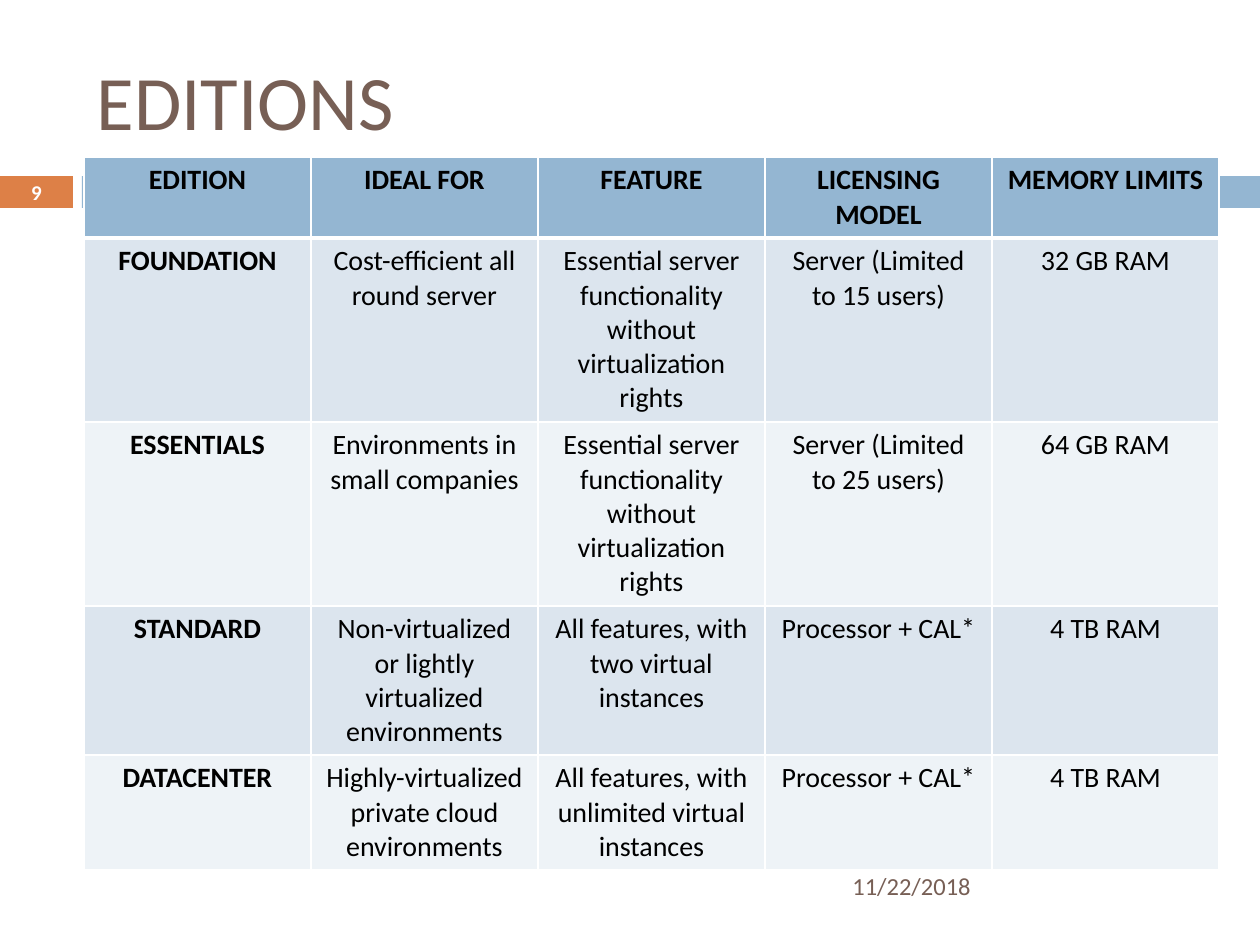
from lxml import etree
from pptx import Presentation
from pptx.dml.color import RGBColor
from pptx.enum.shapes import MSO_SHAPE as Shape
from pptx.enum.text import MSO_ANCHOR as Anchor, MSO_AUTO_SIZE as AutoSize, PP_ALIGN as Align
from pptx.oxml.ns import qn
from pptx.util import Emu, Pt

PX_PER_INCH = 126
FONT = "Calibri"
ORANGE, BLUE, BROWN = "DD8047", "94B6D2", "775F55"
WHITE, BLACK = "FFFFFF", "000000"
BANDS = ["DCE5EE", "EEF3F7"]
COLUMN_WIDTH = 227
ROW_HEIGHTS = [81, 184, 184, 149, 115]
SERVER_FEATURE = "Essential server functionality without virtualization rights"
EDITIONS = [
    ["EDITION", "IDEAL FOR", "FEATURE", "LICENSING MODEL", "MEMORY LIMITS"],
    ["FOUNDATION", "Cost-efficient all round server", SERVER_FEATURE,
     "Server (Limited to 15 users)", "32 GB RAM"],
    ["ESSENTIALS", "Environments in small companies", SERVER_FEATURE,
     "Server (Limited to 25 users)", "64 GB RAM"],
    ["STANDARD", "Non-virtualized or lightly virtualized environments",
     "All features, with two virtual instances", "Processor + CAL*", "4 TB RAM"],
    ["DATACENTER", "Highly-virtualized private cloud environments",
     "All features, with unlimited virtual instances", "Processor + CAL*", "4 TB RAM"],
]


def px(length):
    return Emu(round(length * 914400 / PX_PER_INCH))


def color(value):
    return RGBColor.from_string(value)


def write(text_frame, text, size, text_color, align=Align.LEFT, bold=False):
    text_frame.text = text
    paragraph = text_frame.paragraphs[0]
    paragraph.alignment = align
    font = paragraph.runs[0].font
    font.name, font.size, font.bold = FONT, Pt(size), bold
    font.color.rgb = color(text_color)


def set_title(slide, text, left, top, width, height):
    title = slide.shapes.title
    title.left, title.top = px(left), px(top)
    title.width, title.height = px(width), px(height)
    write(title.text_frame, text, 44, BROWN)
    title.text_frame.vertical_anchor = Anchor.MIDDLE
    title.text_frame.auto_size = AutoSize.NONE


def add_bar(slide, left, top, width, height, fill):
    bar = slide.shapes.add_shape(Shape.RECTANGLE, px(left), px(top), px(width), px(height))
    bar.shadow.inherit = False
    bar.fill.solid()
    bar.fill.fore_color.rgb = color(fill)
    bar.line.fill.background()


def add_label(slide, text, left, top, width, height, size, text_color, **style):
    box = slide.shapes.add_textbox(px(left), px(top), px(width), px(height))
    box.text_frame.word_wrap = True
    box.text_frame.vertical_anchor = Anchor.MIDDLE
    write(box.text_frame, text, size, text_color, **style)


def set_borders(cell, bottom_width):
    properties = cell._tc.get_or_add_tcPr()
    for side, width in [("L", 1), ("R", 1), ("T", 1), ("B", bottom_width)]:
        line = etree.SubElement(properties, qn(f"a:ln{side}"), w=str(Pt(width)))
        fill = etree.SubElement(line, qn("a:solidFill"))
        etree.SubElement(fill, qn("a:srgbClr"), val=WHITE)


def add_editions_table(slide, left, top):
    columns = len(EDITIONS[0])
    table = slide.shapes.add_table(
        len(EDITIONS), columns, px(left), px(top),
        px(COLUMN_WIDTH * columns), px(sum(ROW_HEIGHTS))).table
    for column in table.columns:
        column.width = px(COLUMN_WIDTH)
    for row_index, texts in enumerate(EDITIONS):
        is_header = row_index == 0
        table.rows[row_index].height = px(ROW_HEIGHTS[row_index])
        for column_index, text in enumerate(texts):
            cell = table.cell(row_index, column_index)
            set_borders(cell, 3 if is_header else 1)
            cell.fill.solid()
            cell.fill.fore_color.rgb = color(BLUE if is_header else BANDS[(row_index - 1) % 2])
            write(cell.text_frame, text, 16, BLACK, Align.CENTER,
                  is_header or column_index == 0)


def main():
    presentation = Presentation()
    presentation.slide_width, presentation.slide_height = px(1260), px(945)
    slide = presentation.slides.add_slide(presentation.slide_layouts[5])
    add_bar(slide, 0, 176, 73, 32, ORANGE)
    add_bar(slide, 82, 176, 1178, 32, BLUE)
    set_title(slide, "EDITIONS", 84, 32, 1124, 136)
    add_label(slide, "11/22/2018", 840, 861, 368, 50, 14, BROWN)
    add_label(slide, "9", 0, 175, 73, 34, 12, WHITE, align=Align.CENTER, bold=True)
    add_editions_table(slide, 84, 157)
    presentation.save("out.pptx")


if __name__ == "__main__":
    main()
